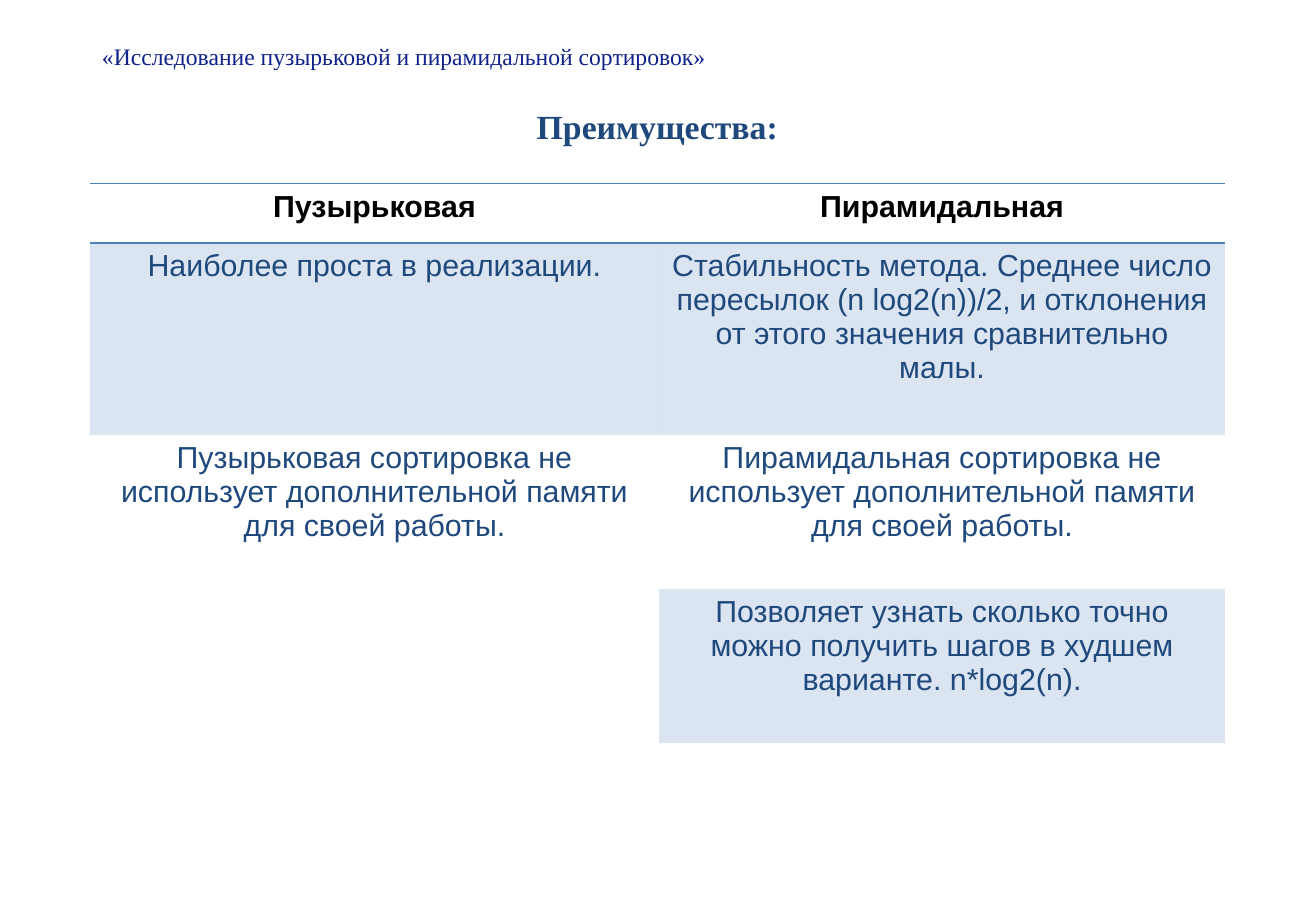
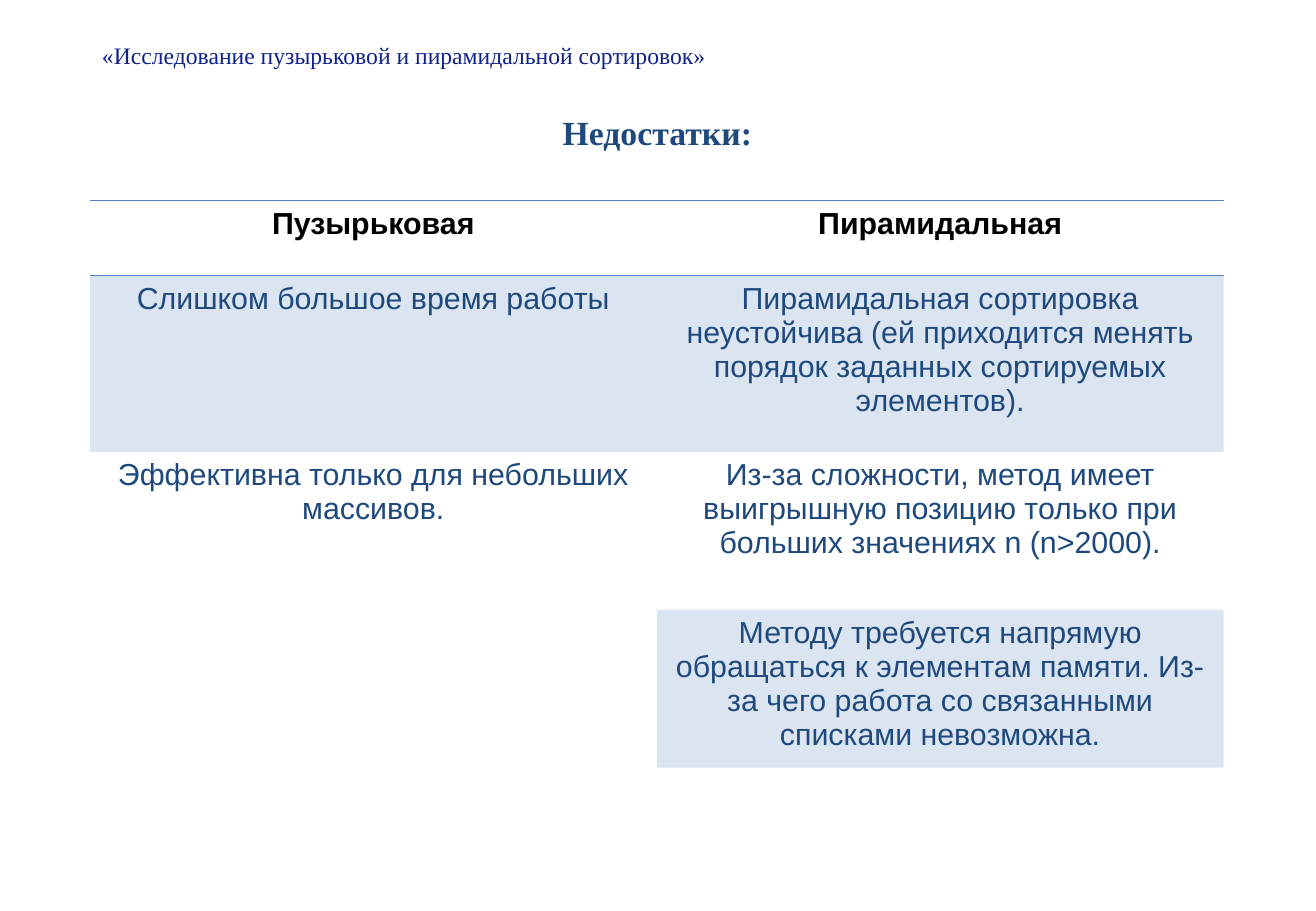
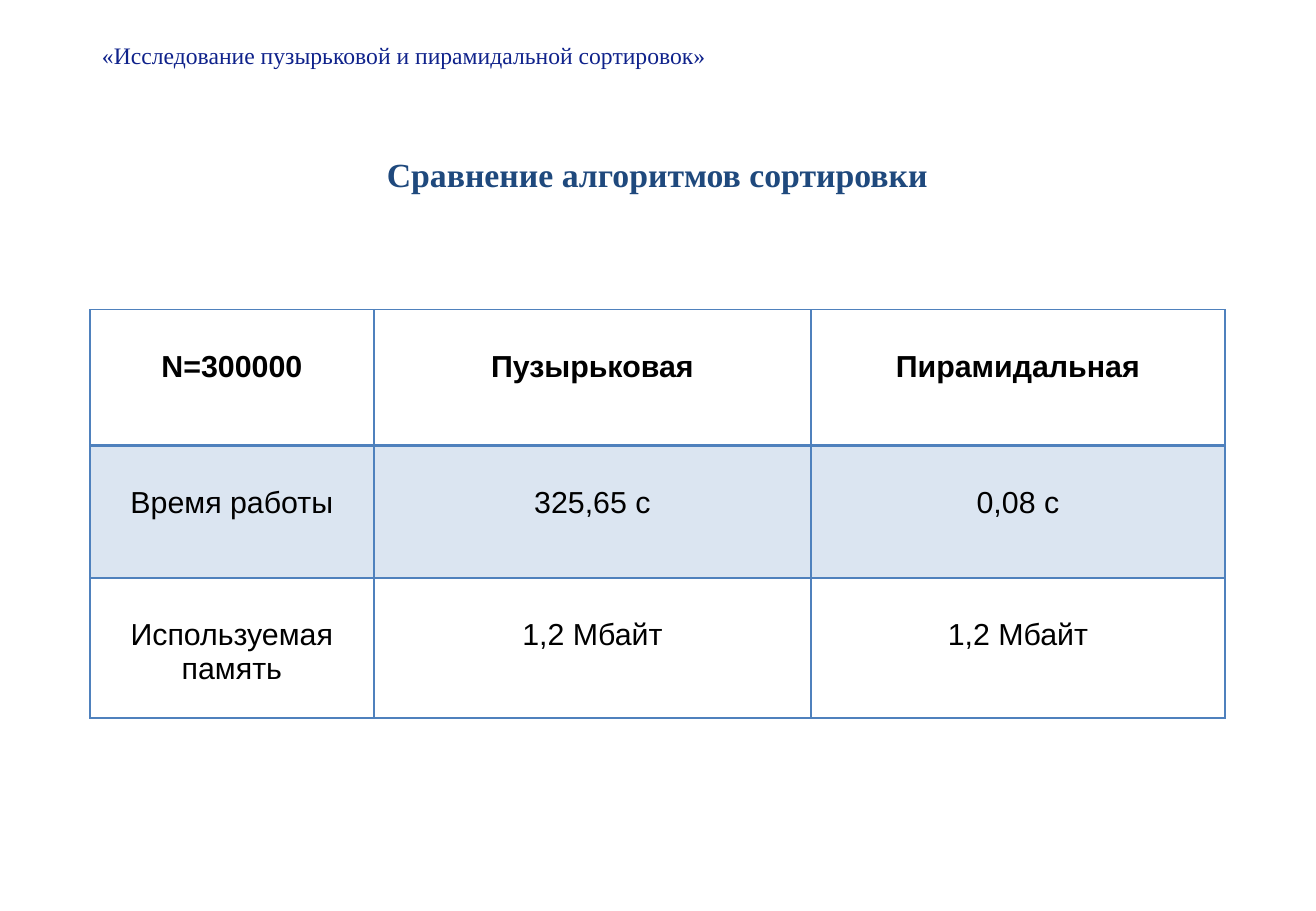
"""Build three slides that compare bubble sort with heap sort."""
from dataclasses import dataclass

import lxml.etree
import pptx
import pptx.dml.color
import pptx.enum.text
import pptx.oxml.ns
import pptx.presentation
import pptx.shapes.autoshape
import pptx.slide
import pptx.table
import pptx.util

Inches = pptx.util.Inches
Pt = pptx.util.Pt
qn = pptx.oxml.ns.qn
Align = pptx.enum.text.PP_ALIGN
Anchor = pptx.enum.text.MSO_ANCHOR
AutoSize = pptx.enum.text.MSO_AUTO_SIZE


@dataclass(frozen=True)
class Theme:
    serif: str = "Times New Roman"
    sans: str = "Arial"
    running_title: str = "0F228B"
    heading: str = "1F497D"
    black: str = "000000"
    accent: str = "4F81BD"
    band_opacity: int = 20
    title_size: int = 14
    heading_size: int = 20
    table_size: int = 18
    left: float = 0.74
    width: float = 9.35


THEME = Theme()
RUNNING_TITLE = "«Исследование пузырьковой и пирамидальной сортировок»"
NO_STYLE = "{2D5ABB26-0587-4C30-8999-92F81FD0307C}"
EDGES = ("L", "R", "T", "B")


@dataclass(frozen=True)
class TableDesign:
    top: float
    columns: tuple[float, ...]
    rows: tuple[float, ...]
    cells: tuple[tuple[str, ...], ...]
    body_color: str = THEME.heading
    grid: bool = False
    header_rule: float = 1
    cell_top_margin: float = 0.05
    merge_last_left: bool = True


@dataclass(frozen=True)
class SlideDesign:
    title_top: float
    heading: str
    heading_top: float
    heading_height: float
    table: TableDesign


SLIDES = (
    SlideDesign(0.32, "Преимущества:", 0.91, 0.75, TableDesign(
        1.51, (4.69, 4.66), (0.49, 1.58, 1.27, 1.27), (
            ("Пузырьковая", "Пирамидальная"),
            ("Наиболее проста в реализации.",
             "Стабильность метода. Среднее число пересылок (n log2(n))/2, "
             "и отклонения от этого значения сравнительно малы."),
            ("Пузырьковая сортировка не использует дополнительной памяти для своей работы.",
             "Пирамидальная сортировка не использует дополнительной памяти для своей работы."),
            ("", "Позволяет узнать сколько точно можно получить шагов "
                 "в худшем варианте. n*log2(n)."),
        ))),
    SlideDesign(0.31, "Недостатки:", 0.96, 0.75, TableDesign(
        1.65, (4.67, 4.67), (0.62, 1.45, 1.3, 1.3), (
            ("Пузырьковая", "Пирамидальная"),
            ("Слишком большое время работы",
             "Пирамидальная сортировка неустойчива (ей приходится менять "
             "порядок заданных сортируемых элементов)."),
            ("Эффективна только для небольших массивов.",
             "Из-за сложности, метод имеет выигрышную позицию только при "
             "больших значениях n (n>2000)."),
            ("", "Методу требуется напрямую обращаться к элементам памяти. "
                 "Из-за чего работа со связанными списками невозможна."),
        ))),
    SlideDesign(0.31, "Сравнение алгоритмов сортировки", 1.3, 0.61, TableDesign(
        2.55, (2.34, 3.6, 3.41), (1.12, 1.09, 1.15), (
            ("N=300000", "Пузырьковая", "Пирамидальная"),
            ("Время работы", "325,65 с", "0,08 с"),
            ("Используемая память", "1,2 Мбайт", "1,2 Мбайт"),
        ), body_color=THEME.black, grid=True, header_rule=2,
        cell_top_margin=0.33, merge_last_left=False)),
)


def apply_format(target: object, values: dict[str, object]) -> None:
    """Set each named attribute of the target."""
    for name, value in values.items():
        setattr(target, name, value)


def write_text(frame: pptx.text.text.TextFrame, text: str, face: str, size: int,
               color: str, bold: bool, paragraph_format: dict[str, object]) -> None:
    """Write one formatted paragraph into a text frame."""
    paragraph = frame.paragraphs[0]
    apply_format(paragraph, paragraph_format)
    run = paragraph.add_run()
    run.text = text
    apply_format(run.font, {"name": face, "size": Pt(size), "bold": bold})
    run.font.color.rgb = pptx.dml.color.RGBColor.from_string(color)


def place(shape: pptx.shapes.autoshape.Shape, top: float, height: float) -> None:
    """Put a shape across the shared content width."""
    apply_format(shape, {"left": Inches(THEME.left), "top": Inches(top),
                         "width": Inches(THEME.width), "height": Inches(height)})


def add_titles(slide: pptx.slide.Slide, design: SlideDesign) -> None:
    """Format the running title and add the slide heading."""
    title = slide.shapes.title
    place(title, design.title_top, 0.32)
    apply_format(title.text_frame, {
        "word_wrap": True, "auto_size": AutoSize.SHAPE_TO_FIT_TEXT,
        "vertical_anchor": Anchor.MIDDLE})
    write_text(title.text_frame, RUNNING_TITLE, THEME.serif, THEME.title_size,
               THEME.running_title, False,
               {"alignment": Align.LEFT, "line_spacing": 0.9})
    heading = slide.shapes.add_textbox(0, 0, 0, 0)
    place(heading, design.heading_top, design.heading_height)
    apply_format(heading.text_frame, {
        "word_wrap": True, "vertical_anchor": Anchor.TOP, "margin_left": 0,
        "margin_right": 0, "margin_top": 0, "margin_bottom": 0})
    write_text(heading.text_frame, design.heading, THEME.serif, THEME.heading_size,
               THEME.heading, True,
               {"alignment": Align.CENTER, "line_spacing": 0.9, "space_before": Pt(10)})


def border_width(design: TableDesign, row: int, edge: str) -> float:
    """Return the width in points of a cell edge, or zero for none."""
    if (row, edge) in ((0, "B"), (1, "T")):
        return design.header_rule
    return 1 if design.grid or (row, edge) == (0, "T") else 0


def set_border(cell: pptx.table._Cell, edge: str, width: float) -> None:
    """Draw one edge of a cell, or clear it when the width is zero."""
    properties = cell._tc.get_or_add_tcPr()
    line = lxml.etree.SubElement(properties, qn(f"a:ln{edge}"), w=str(Pt(width)))
    if width:
        fill = lxml.etree.SubElement(line, qn("a:solidFill"))
        lxml.etree.SubElement(fill, qn("a:srgbClr"), val=THEME.accent)
    else:
        lxml.etree.SubElement(line, qn("a:noFill"))


def fill_cell(cell: pptx.table._Cell, banded: bool) -> None:
    """Give a cell the translucent band colour or no fill."""
    if not banded:
        cell.fill.background()
        return
    cell.fill.solid()
    cell.fill.fore_color.rgb = pptx.dml.color.RGBColor.from_string(THEME.accent)
    color = cell._tc.tcPr.find(qn("a:solidFill")).find(qn("a:srgbClr"))
    lxml.etree.SubElement(color, qn("a:alpha"), val=str(THEME.band_opacity * 1000))


def add_comparison(slide: pptx.slide.Slide, design: TableDesign) -> None:
    """Add a comparison table with a ruled header and banded rows."""
    frame = slide.shapes.add_table(
        len(design.rows), len(design.columns), Inches(THEME.left), Inches(design.top),
        Inches(THEME.width), Inches(sum(design.rows)))
    table = frame.table
    apply_format(table, {"first_row": False, "horz_banding": False})
    table._tbl.tblPr.find(qn("a:tableStyleId")).text = NO_STYLE
    for column, width in zip(table.columns, design.columns):
        column.width = Inches(width)
    for row, height in zip(table.rows, design.rows):
        row.height = Inches(height)
    if design.merge_last_left:
        last = len(design.rows) - 1
        table.cell(last - 1, 0).merge(table.cell(last, 0))
    for row_index, texts in enumerate(design.cells):
        header = row_index == 0
        for column_index, text in enumerate(texts):
            cell = table.cell(row_index, column_index)
            for edge in EDGES:
                set_border(cell, edge, border_width(design, row_index, edge))
            fill_cell(cell, row_index % 2 == 1 and not cell.is_spanned)
            cell.margin_top = Inches(design.cell_top_margin)
            if text:
                write_text(cell.text_frame, text, THEME.sans, THEME.table_size,
                           THEME.black if header else design.body_color, header,
                           {"alignment": Align.CENTER})


def main() -> None:
    """Build and save the presentation."""
    presentation = pptx.Presentation()
    apply_format(presentation, {"slide_width": Inches(10.84), "slide_height": Inches(7.5)})
    title_only = presentation.slide_layouts.get_by_name("Title Only")
    for design in SLIDES:
        slide = presentation.slides.add_slide(title_only)
        add_titles(slide, design)
        add_comparison(slide, design.table)
    presentation.save("out.pptx")


if __name__ == "__main__":
    main()
